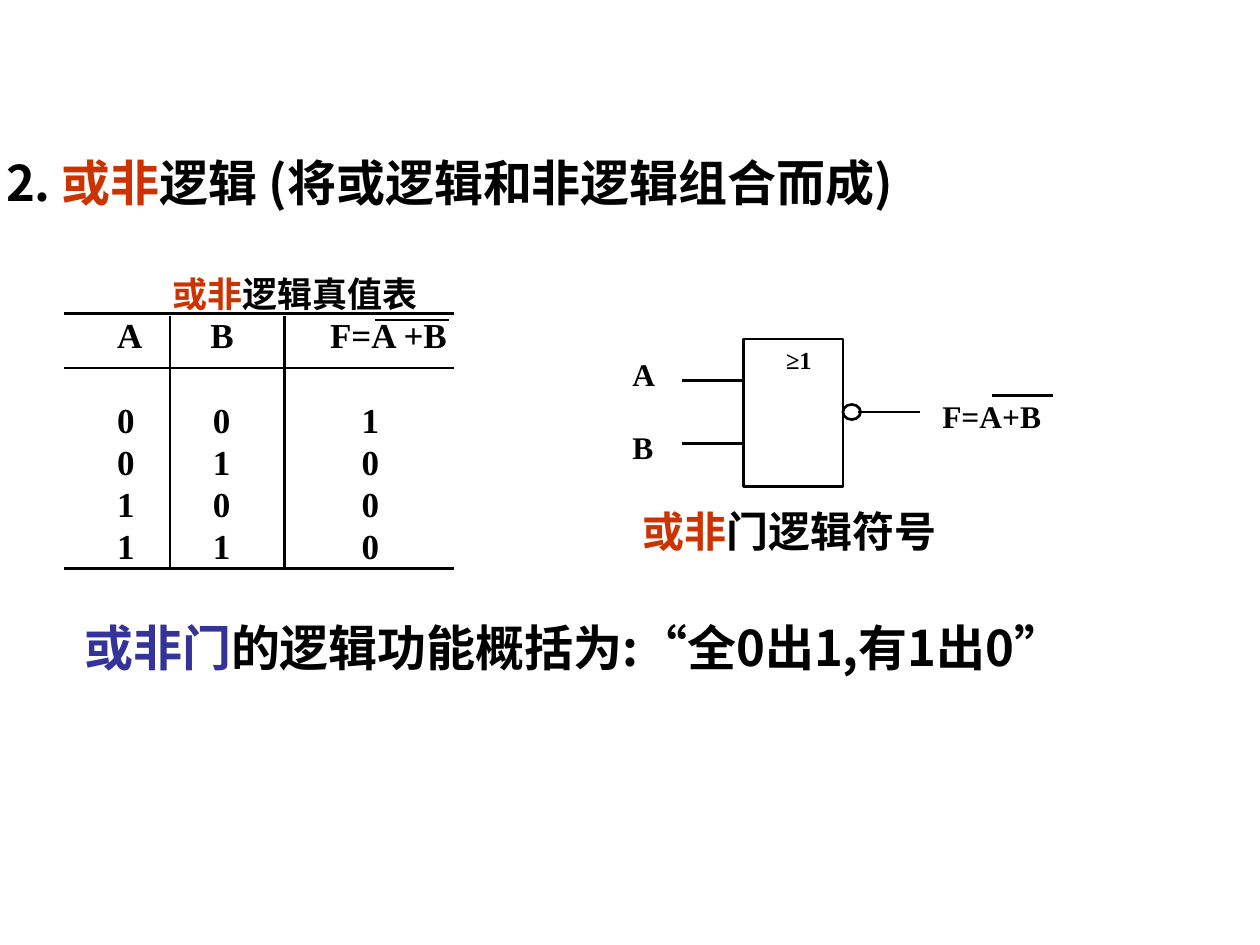
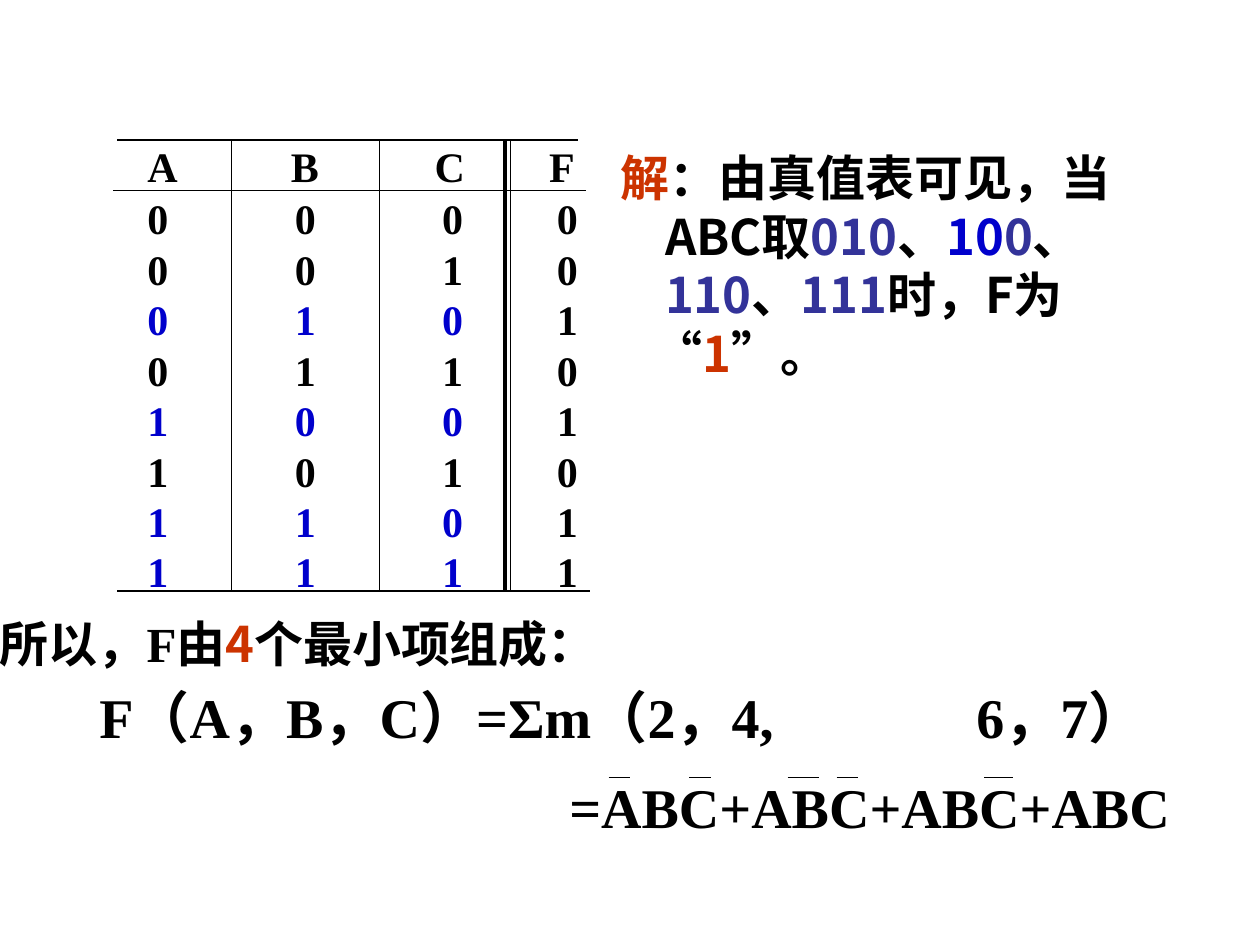
from lxml import etree
from pptx import Presentation
from pptx import util as u
from pptx.dml.color import RGBColor
from pptx.enum import shapes, text
from pptx.oxml.ns import qn

COLORS = {"ink": "000000", "red": "CC3300", "indigo": "333399", "blue": "0000CC"}
SANS, SERIF = "Noto Sans CJK SC", "Times New Roman"
SLIDE_WIDTH, SLIDE_HEIGHT = u.Inches(10), u.Inches(7.5)
LEFT, MIDDLE, TOP = text.PP_ALIGN.LEFT, text.MSO_ANCHOR.MIDDLE, text.MSO_ANCHOR.TOP


def grid(count):
    """Length of some grid units; the slide is 10 units wide and 7.5 high."""
    return round(count * SLIDE_WIDTH / 10)


def rgb(name):
    return RGBColor.from_string(COLORS[name])


def style_para(para, size, face=SERIF, color="ink", align=LEFT):
    para.alignment = align
    font = para.font
    font.size, font.bold, font.name = u.Pt(size), True, face
    font.color.rgb = rgb(color)
    etree.SubElement(font._element, qn("a:ea"), typeface=SANS)


def add_spans(para, spans):
    """Each span is plain text or a tuple of text, colour and, if needed, face."""
    for part in spans:
        words, color, *face = (part, None) if isinstance(part, str) else part
        span = para.add_run()
        span.text = words
        if color:
            span.font.color.rgb = rgb(color)
        if face:
            span.font.name = face[0]


def add_text(slide, place, lines, size, face=SERIF, align=LEFT, wrap=False,
             indents=None, tab=None):
    box = slide.shapes.add_textbox(*map(grid, place))
    frame = box.text_frame
    frame.word_wrap = wrap
    frame.auto_size = text.MSO_AUTO_SIZE.SHAPE_TO_FIT_TEXT
    for index, spans in enumerate(lines):
        para = frame.add_paragraph() if index else frame.paragraphs[0]
        props = para._p.get_or_add_pPr()
        if indents:
            props.set("marL", str(grid(indents[index])))
            props.set("indent", "0")
        if tab:
            stops = etree.SubElement(props, qn("a:tabLst"))
            etree.SubElement(stops, qn("a:tab"), pos=str(grid(tab)), algn="l")
        style_para(para, size, face, align=align)
        add_spans(para, spans)


def add_rule(slide, x1, y1, x2, y2, weight=1.5):
    rule = slide.shapes.add_connector(
        shapes.MSO_CONNECTOR.STRAIGHT, *map(grid, (x1, y1, x2, y2)))
    rule.line.width = u.Pt(weight)
    rule.line.color.rgb = rgb("ink")
    etree.SubElement(rule._element.spPr, qn("a:effectLst"))


def add_overlines(slide, y, bars, weight):
    for start, end in bars:
        add_rule(slide, start, y, end, y, weight)


def add_outline(slide, kind, place):
    shape = slide.shapes.add_shape(kind, *map(grid, place))
    shape.shadow.inherit = False
    shape.fill.background()
    shape.line.width = u.Pt(1.5)
    shape.line.color.rgb = rgb("ink")


def add_truth_table(slide, top, edges, heights, rows, insets, size, mark_ones=False):
    """insets holds the left margins of the header row and of the body rows."""
    frame = slide.shapes.add_table(
        len(rows), len(edges) - 1, grid(edges[0]), grid(top),
        grid(edges[-1] - edges[0]), grid(sum(heights)))
    table = frame.table
    table.first_row = table.horz_banding = False
    for column, start, end in zip(table.columns, edges, edges[1:]):
        column.width = grid(end - start)
    for r, (row, height) in enumerate(zip(rows, heights)):
        table.rows[r].height = grid(height)
        for c, value in enumerate(row):
            cell = table.cell(r, c)
            cell.fill.background()
            cell.margin_top = cell.margin_bottom = cell.margin_right = 0
            cell.margin_left = grid(insets[min(r, 1)][c])
            cell.vertical_anchor = MIDDLE if r else TOP
            para = cell.text_frame.paragraphs[0]
            marked = mark_ones and row[-1] == "1" and c < len(row) - 1
            style_para(para, size, color="blue" if marked else "ink")
            add_spans(para, [value])


def add_nor_table(slide):
    edges = (0.51, 1.35, 2.26, 3.6)
    rows = [("A", "B", "F=A +B"), *("001", "010", "100", "110")]
    add_text(slide, (1.27, 2.11, 2.15, 0.43), [[("或非", "red"), "逻辑真值表"]], 20)
    add_truth_table(slide, 2.52, edges, [0.66] + [0.33] * 4, rows,
                    [(0.42, 0.32, 0.36), (0.42, 0.34, 0.61)], 20)
    for y in (2.49, 2.92, 4.51):
        add_rule(slide, edges[0], y, edges[-1], y)
    for x in edges[1:-1]:
        add_rule(slide, x, 2.51, x, 4.51)
    add_overlines(slide, 2.54, [(2.98, 3.56)], 1.5)


def add_nor_gate(slide):
    add_outline(slide, shapes.MSO_SHAPE.RECTANGLE, (5.9, 2.69, 0.79, 1.17))
    add_text(slide, (6.14, 2.69, 0.45, 0.34), [["≥1"]], 14)
    for name, lead_y, label_y in (("A", 3.02, 2.77), ("B", 3.52, 3.35)):
        add_rule(slide, 5.9, lead_y, 5.41, lead_y)
        add_text(slide, (4.92, label_y, 0.38, 0.4), [[name]], 18)
    add_rule(slide, 6.81, 3.27, 7.3, 3.27)
    add_outline(slide, shapes.MSO_SHAPE.OVAL, (6.69, 3.21, 0.14, 0.12))
    add_text(slide, (7.38, 3.1, 1.05, 0.4), [["F=A+B"]], 18)
    add_overlines(slide, 3.14, [(7.87, 8.36)], 1.5)
    add_text(slide, (5, 3.96, 2.53, 0.5), [[("或非", "red"), "门逻辑符号"]], 24)


def build_nor_slide(slide):
    add_text(slide, (-0.05, 1.16, 7.61, 0.57),
             [["2. ", ("或非", "red"), "逻辑 (将或逻辑和非逻辑组合而成)"]], 28, SANS)
    add_nor_table(slide)
    add_nor_gate(slide)
    add_text(slide, (0.57, 4.85, 7.98, 1.04),
             [[("或非门", "indigo"), "的逻辑功能概括为:“全0出1,有1出0”"]],
             28, SANS, wrap=True)


def add_minterm_table(slide):
    minterms = (2, 4, 6, 7)
    rows = ["ABCF"] + [f"{n:03b}{int(n in minterms)}" for n in range(8)]
    add_truth_table(slide, 1.15, (0.93, 1.84, 3.01, 4.05, 4.68), [0.4] * 9, rows,
                    [(0.24, 0.47, 0.44, 0.31), (0.24, 0.5, 0.5, 0.37)], 24,
                    mark_ones=True)
    for start, end, y, weight in ((0.93, 4.59, 1.11, 1.5), (0.9, 4.65, 1.51, 0.75),
                                  (0.93, 4.68, 4.69, 0.75)):
        add_rule(slide, start, y, end, y, weight)
    for x, weight in ((1.84, 0.75), (3.01, 0.75), (4.01, 2.25), (4.05, 0.75)):
        add_rule(slide, x, 1.11, x, 4.69, weight)


def build_minterm_slide(slide):
    add_text(slide, (4.83, 1.12, 5.42, 1.97), [
        [("解", "red"), "：由真值表可见，当"],
        ["ABC取", ("010", "indigo"), "、", ("10", "blue"), ("0", "indigo"), "、"],
        [("110", "indigo"), "、", ("111", "indigo"), "时，F为"],
        ["“", ("1", "red"), "”。"],
    ], 28, SANS, wrap=True, indents=(0, 0.35, 0.35, 0.26))
    add_minterm_table(slide)
    add_text(slide, (-0.1, 4.82, 5.4, 0.57),
             [["所以，", ("F", None, SERIF), "由", ("4", "red"), "个最小项组成："]],
             28, SANS)
    add_text(slide, (0.69, 5.37, 8.82, 0.64),
             [["F（A，B，C）=Σm（2，4,\t6，7）"]], 32, tab=6.96)
    add_text(slide, (4.42, 6.08, 4.97, 0.64), [["=ABC+ABC+ABC+ABC"]], 32,
             align=text.PP_ALIGN.CENTER)
    add_overlines(slide, 6.17, [(4.83, 5), (5.47, 5.64), (6.25, 6.5),
                                (6.64, 6.81), (7.81, 8.04)], 0.75)


def main():
    deck = Presentation()
    deck.slide_width, deck.slide_height = SLIDE_WIDTH, SLIDE_HEIGHT
    blank = deck.slide_layouts[6]
    for build in (build_nor_slide, build_minterm_slide):
        build(deck.slides.add_slide(blank))
    deck.save("out.pptx")


if __name__ == "__main__":
    main()
